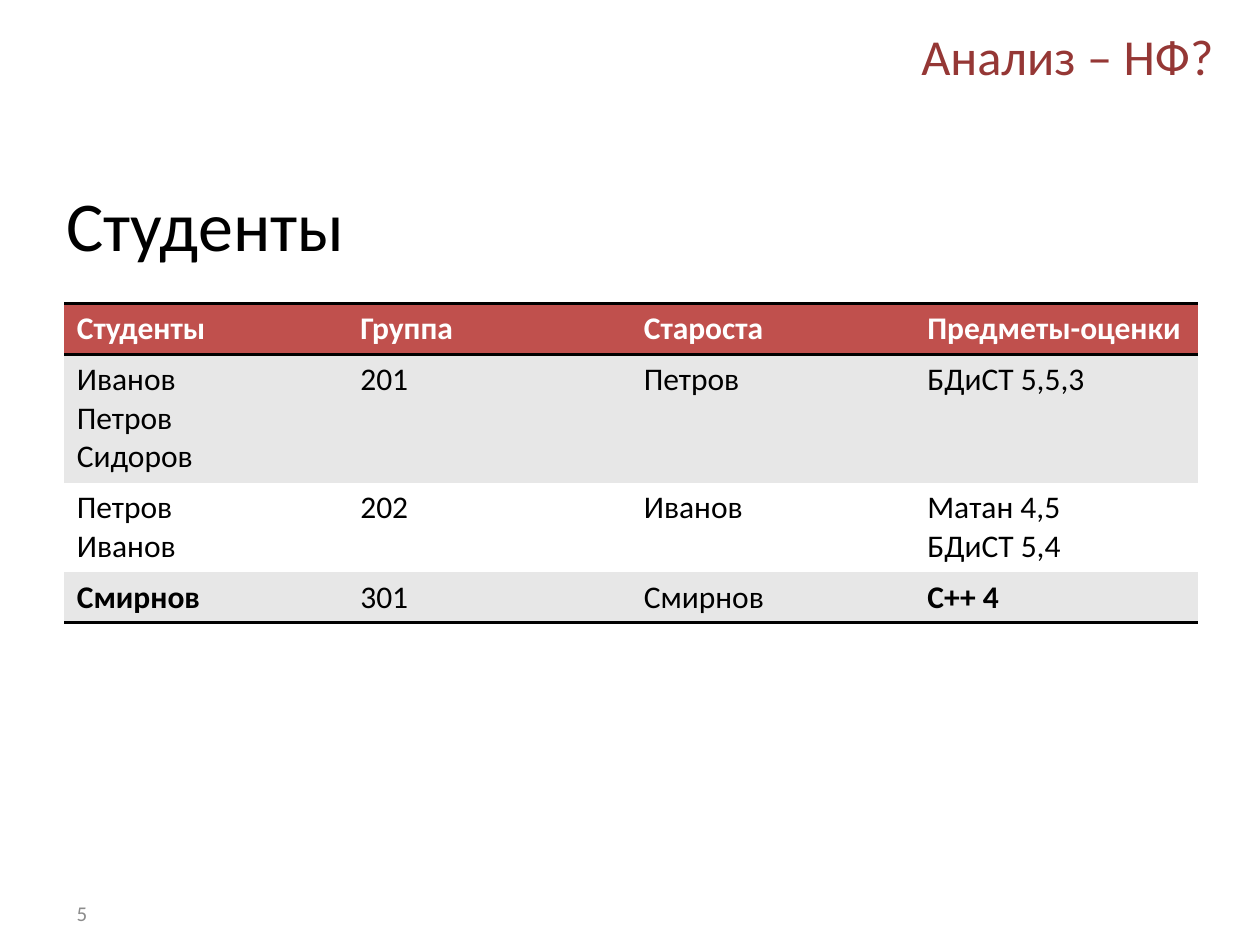
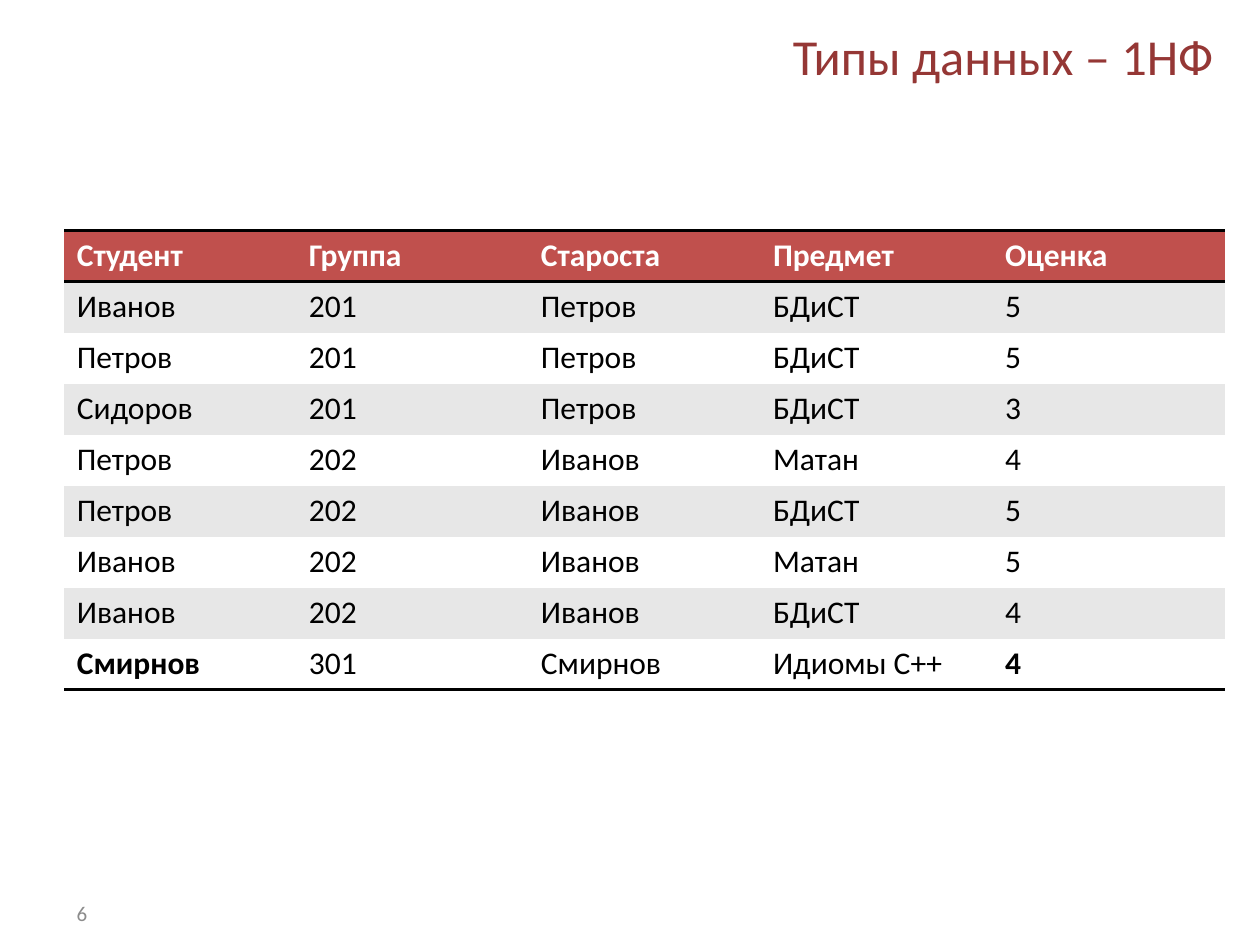
from dataclasses import dataclass

import lxml.etree
import pptx
import pptx.dml.color
import pptx.enum.text
import pptx.oxml.ns
import pptx.slide
import pptx.table
import pptx.util

RGBColor = pptx.dml.color.RGBColor
PP_ALIGN = pptx.enum.text.PP_ALIGN
MSO_ANCHOR = pptx.enum.text.MSO_ANCHOR

# Shared look
FONT = "Calibri"
TITLE_RED = RGBColor(0x95, 0x37, 0x35)
HEADER_RED = RGBColor(0xC0, 0x50, 0x4D)
BAND_GREY = RGBColor(0xE7, 0xE7, 0xE7)
NUMBER_GREY = RGBColor(0x8C, 0x8C, 0x8C)
WHITE = RGBColor(0xFF, 0xFF, 0xFF)
BLACK = RGBColor(0x00, 0x00, 0x00)
PLAIN_TABLE_STYLE = "{2D5ABB26-0587-4C30-8999-92F81FD0307C}"

# Lengths in inches, sizes in points
SLIDE_W, SLIDE_H = 10, 7.5
MARGIN = 0.51
LINE_H = 0.305
CELL_PAD = 0.05
CELL_SIZE = 18
RULE_WIDTH = 2


@dataclass(frozen=True)
class Label:
    """A one-line text box; its size and place are fixed by its role."""
    left: float
    top: float
    width: float
    height: float
    size: float
    color: RGBColor
    align: PP_ALIGN = PP_ALIGN.LEFT
    anchor: MSO_ANCHOR = MSO_ANCHOR.MIDDLE


@dataclass(frozen=True)
class Grid:
    """A ruled table; the first row is the header, '\n' splits paragraphs."""
    top: float
    width: float
    rows: list[list[str]]


@dataclass(frozen=True)
class Page:
    number: int
    title: str
    grid: Grid
    heading: str = ""


TITLE = Label(2.64, 0.21, 7.09, 0.46, 28.8, TITLE_RED, PP_ALIGN.RIGHT)
HEADING = Label(0.43, 1.39, 9.08, 4.95, 40, BLACK, anchor=MSO_ANCHOR.TOP)
NUMBER = Label(MARGIN, 7.05, 2.33, 0.4, 12, NUMBER_GREY)

PAGES = [
    Page(5, "Анализ – НФ?", Grid(2.41, 9, [
        ["Студенты", "Группа", "Староста", "Предметы-оценки"],
        ["Иванов\nПетров\nСидоров", "201", "Петров", "БДиСТ 5,5,3"],
        ["Петров\nИванов", "202", "Иванов", "Матан 4,5\nБДиСТ 5,4"],
        ["Смирнов", "301", "Смирнов", "С++ 4"],
    ]), heading="Студенты"),
    Page(6, "Типы данных – 1НФ", Grid(1.83, 9.21, [
        ["Студент", "Группа", "Староста", "Предмет", "Оценка"],
        ["Иванов", "201", "Петров", "БДиСТ", "5"],
        ["Петров", "201", "Петров", "БДиСТ", "5"],
        ["Сидоров", "201", "Петров", "БДиСТ", "3"],
        ["Петров", "202", "Иванов", "Матан", "4"],
        ["Петров", "202", "Иванов", "БДиСТ", "5"],
        ["Иванов", "202", "Иванов", "Матан", "5"],
        ["Иванов", "202", "Иванов", "БДиСТ", "4"],
        ["Смирнов", "301", "Смирнов", "Идиомы С++", "4"],
    ])),
]


def add_runs(tf: pptx.text.text.TextFrame, text: str, size: float,
             color: RGBColor, bold: bool = False,
             align: PP_ALIGN = PP_ALIGN.LEFT) -> None:
    """Write each line of the text as a paragraph with one run."""
    for i, line in enumerate(text.split("\n")):
        p = tf.add_paragraph() if i else tf.paragraphs[0]
        p.alignment = align
        r = p.add_run()
        r.text = line
        r.font.name = FONT
        r.font.size = pptx.util.Pt(size)
        r.font.bold = bold
        r.font.color.rgb = color


def add_label(s: pptx.slide.Slide, label: Label, text: str) -> None:
    box = (label.left, label.top, label.width, label.height)
    tf = s.shapes.add_textbox(*map(pptx.util.Inches, box)).text_frame
    tf.word_wrap = True
    tf.vertical_anchor = label.anchor
    add_runs(tf, text, label.size, label.color, align=label.align)


def add_rule(cell: pptx.table._Cell, edge: str) -> None:
    """Draw a black rule on the top ('lnT') or bottom ('lnB') of a cell."""
    qn = pptx.oxml.ns.qn
    ln = lxml.etree.Element(qn(f"a:{edge}"),
                            w=str(pptx.util.Pt(RULE_WIDTH)))
    fill = lxml.etree.SubElement(ln, qn("a:solidFill"))
    lxml.etree.SubElement(fill, qn("a:srgbClr"), val=str(BLACK))
    # Borders come before the fill, top before bottom
    tc_pr = cell._tc.get_or_add_tcPr()
    tc_pr.insert(len(tc_pr.findall(qn("a:lnT"))), ln)


def add_grid(s: pptx.slide.Slide, grid: Grid) -> None:
    n_rows, n_cols = len(grid.rows), len(grid.rows[0])
    heights = [2 * CELL_PAD + LINE_H * max(t.count("\n") + 1 for t in row)
               for row in grid.rows]
    box = (MARGIN, grid.top, grid.width, sum(heights))
    table = s.shapes.add_table(n_rows, n_cols,
                               *map(pptx.util.Inches, box)).table
    table.horz_banding = False
    tbl_pr = table._tbl.tblPr
    tbl_pr.find(pptx.oxml.ns.qn("a:tableStyleId")).text = PLAIN_TABLE_STYLE

    for i, row in enumerate(grid.rows):
        table.rows[i].height = pptx.util.Inches(heights[i])
        header, last = i == 0, i == n_rows - 1
        band = HEADER_RED if header else BAND_GREY if i % 2 else WHITE
        for j, text in enumerate(row):
            cell = table.cell(i, j)
            cell.fill.solid()
            cell.fill.fore_color.rgb = band
            # The last row stresses its outer columns
            bold = header or (last and j in (0, n_cols - 1))
            add_runs(cell.text_frame, text, CELL_SIZE,
                     WHITE if header else BLACK, bold)
            if header:
                add_rule(cell, "lnT")
            if header or last:
                add_rule(cell, "lnB")


def add_page(prs: pptx.presentation.Presentation, page: Page) -> None:
    s = prs.slides.add_slide(prs.slide_layouts[6])
    add_label(s, TITLE, page.title)
    if page.heading:
        add_label(s, HEADING, page.heading)
    add_label(s, NUMBER, str(page.number))
    add_grid(s, page.grid)


prs = pptx.Presentation()
prs.slide_width = pptx.util.Inches(SLIDE_W)
prs.slide_height = pptx.util.Inches(SLIDE_H)
for page in PAGES:
    add_page(prs, page)
prs.save("out.pptx")
